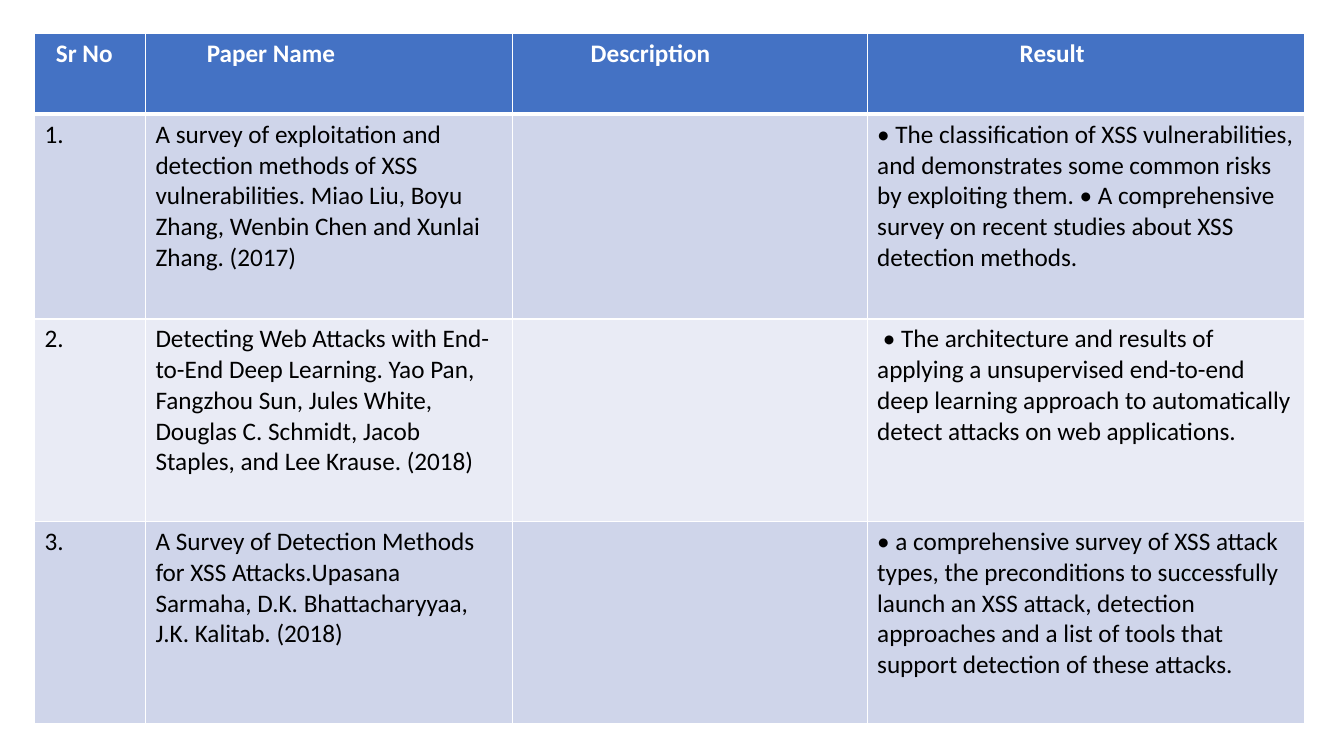
"""Build a literature survey table slide."""
from lxml.etree import SubElement
from pptx import Presentation
from pptx.dml.color import RGBColor
from pptx.oxml.ns import qn
from pptx.util import Pt

COLORS = {"header": "4472C4", "odd": "CFD5EA", "even": "E9EBF5",
          "border": "FFFFFF", "header_text": "FFFFFF", "body_text": "000000"}
HEADERS = ["Sr No", "Paper Name", "Description", "Result"]
PAPERS = [
    ("1.",
     "A survey of exploitation and detection methods of XSS vulnerabilities. "
     "Miao Liu, Boyu Zhang, Wenbin Chen and Xunlai Zhang. (2017)",
     "",
     "• The classification of XSS vulnerabilities, and demonstrates some common risks "
     "by exploiting them. • A comprehensive survey on recent studies about XSS "
     "detection methods."),
    ("2.",
     "Detecting Web Attacks with End-to-End Deep Learning. Yao Pan, Fangzhou Sun, "
     "Jules White, Douglas C. Schmidt, Jacob Staples, and Lee Krause. (2018)",
     "",
     " • The architecture and results of applying a unsupervised end-to-end deep "
     "learning approach to automatically detect attacks on web applications."),
    ("3.",
     "A Survey of Detection Methods for XSS Attacks.Upasana Sarmaha, "
     "D.K. Bhattacharyyaa, J.K. Kalitab. (2018)",
     "",
     "• a comprehensive survey of XSS attack types, the preconditions to successfully "
     "launch an XSS attack, detection approaches and a list of tools that support "
     "detection of these attacks."),
]
LEFT, TOP = 24.7, 24
COLUMN_WIDTHS = [79.2, 262.1, 253.4, 312.5]
ROW_HEIGHTS = [57.6, 146.2, 144.7, 144.7]
HEADER_MARGINS = [15.3, 43.8, 56, 109]
BODY_MARGIN = 7.2


def add_border(cell, side, width):
    properties = cell._tc.get_or_add_tcPr()
    line = SubElement(properties, qn(f"a:{side}"), w=str(Pt(width)))
    fill = SubElement(line, qn("a:solidFill"))
    SubElement(fill, qn("a:srgbClr"), val=COLORS["border"])


def format_cell(cell, text, row, column):
    is_header = row == 0
    widths = {"lnL": 1, "lnR": 1, "lnT": 3 if row == 1 else 1, "lnB": 3 if is_header else 1}
    for side, width in widths.items():
        add_border(cell, side, width)
    fill_name = "header" if is_header else "odd" if row % 2 else "even"
    cell.fill.solid()
    cell.fill.fore_color.rgb = RGBColor.from_string(COLORS[fill_name])
    cell.margin_left = Pt(HEADER_MARGINS[column] if is_header else BODY_MARGIN)
    cell.text_frame.text = text
    text_color = COLORS["header_text" if is_header else "body_text"]
    for run in cell.text_frame.paragraphs[0].runs:
        run.font.name = "Calibri"
        run.font.size = Pt(18)
        run.font.bold = is_header
        run.font.color.rgb = RGBColor.from_string(text_color)


presentation = Presentation()
presentation.slide_width, presentation.slide_height = Pt(960), Pt(540)
slide = presentation.slides.add_slide(presentation.slide_layouts[6])
table = slide.shapes.add_table(
    len(ROW_HEIGHTS), len(COLUMN_WIDTHS), Pt(LEFT), Pt(TOP),
    Pt(sum(COLUMN_WIDTHS)), Pt(sum(ROW_HEIGHTS))).table
for table_column, width in zip(table.columns, COLUMN_WIDTHS):
    table_column.width = Pt(width)
for table_row, height in zip(table.rows, ROW_HEIGHTS):
    table_row.height = Pt(height)
for row, texts in enumerate([HEADERS, *PAPERS]):
    for column, text in enumerate(texts):
        format_cell(table.cell(row, column), text, row, column)

presentation.save("out.pptx")
